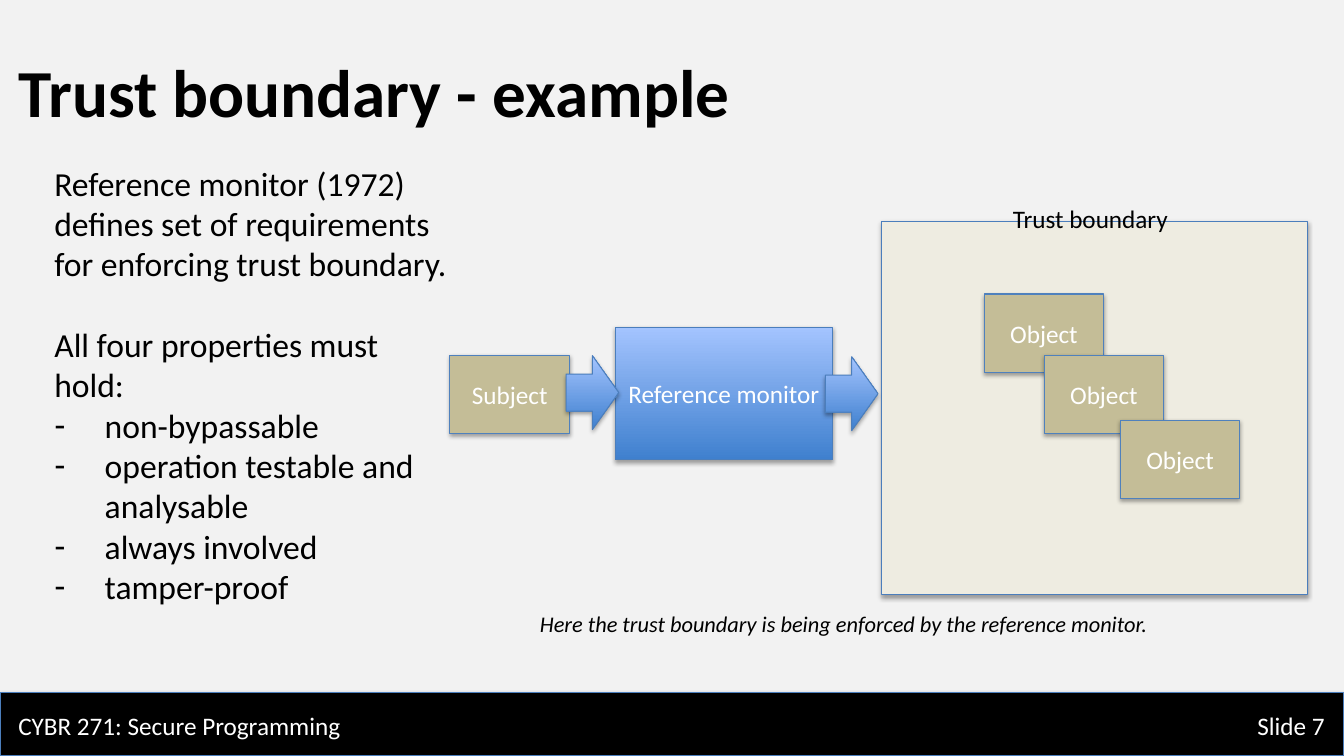
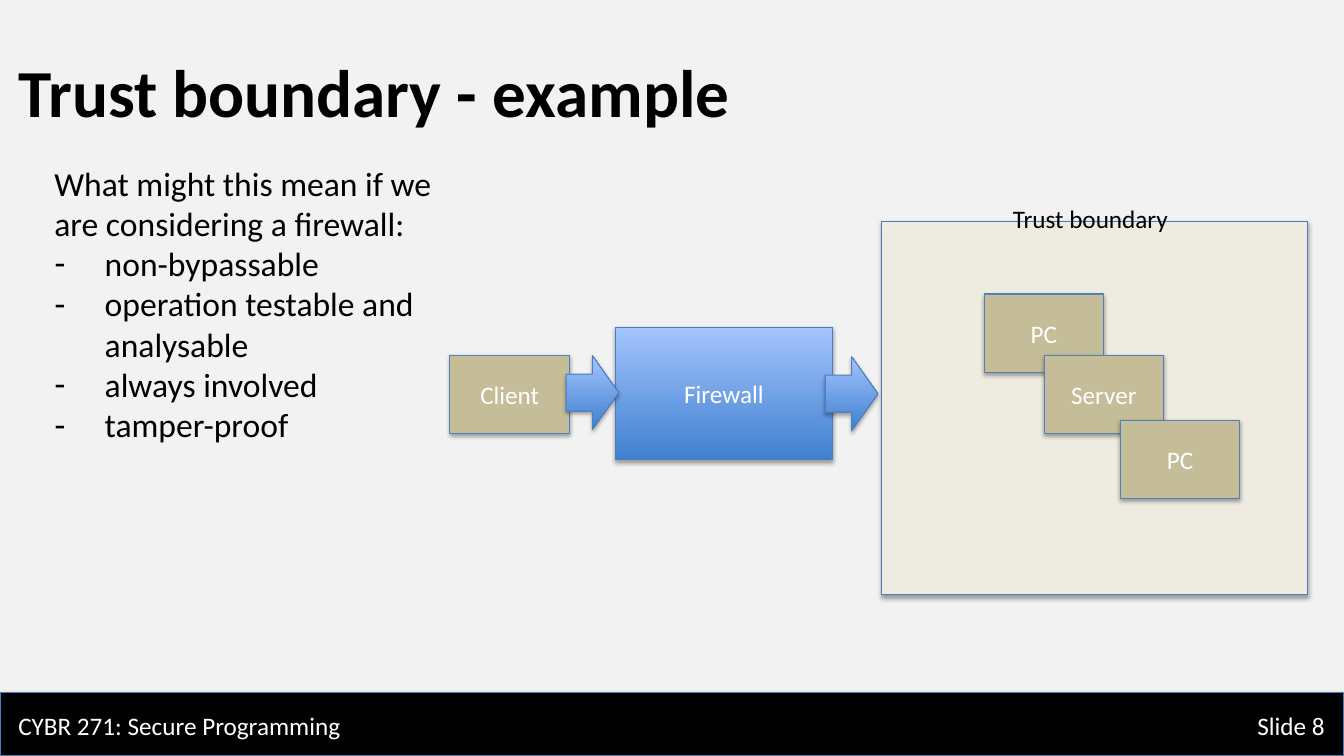
"""Build two slides on trust boundaries and how they are enforced."""
from dataclasses import dataclass

from lxml import etree
from pptx import Presentation
from pptx.dml.color import RGBColor
from pptx.enum.shapes import MSO_SHAPE
from pptx.enum.text import MSO_ANCHOR, MSO_AUTO_SIZE, PP_ALIGN
from pptx.oxml.ns import qn
from pptx.util import Pt

RECTANGLE, RIGHT_ARROW = MSO_SHAPE.RECTANGLE, MSO_SHAPE.RIGHT_ARROW
LEFT, CENTER = PP_ALIGN.LEFT, PP_ALIGN.CENTER
TOP, MIDDLE = MSO_ANCHOR.TOP, MSO_ANCHOR.MIDDLE
NO_AUTOFIT = MSO_AUTO_SIZE.NONE


@dataclass(frozen=True)
class Theme:
    font: str = "Calibri"
    background: str = "F2F2F2"
    ink: str = "000000"
    light: str = "FFFFFF"
    zone: str = "EEECE1"
    node: str = "C4BD97"
    outline: str = "4B7EBC"
    node_outline: str = "4F81BD"
    gradient: tuple = ("3F80CE", "A4C4FF")
    title_size: int = 48
    body_size: int = 24
    label_size: int = 18
    caption_size: int = 16


THEME = Theme()
SLIDE_WIDTH, SLIDE_HEIGHT = 960, 540
BAND_TOP = 495
NODE_SIZE = (85.4, 55.8)
ARROW_SIZE = (37.6, 52.8)
ARROW_CORNERS = [(404.4, 254), (589.6, 254.8)]
OBJECT_CORNERS = [(703, 210), (745.8, 253.8), (800.2, 300.2)]
BULLET_INDENT = 36
PARAGRAPH_GAP = 29
PROPERTIES = ["non-bypassable", "operation testable and analysable",
              "always involved", "tamper-proof"]

SLIDES = [
    {
        "number": 7,
        "intro": ["Reference monitor (1972) defines set of requirements "
                  "for enforcing trust boundary.",
                  "All four properties must hold:"],
        "source": "Subject",
        "guard": "Reference monitor",
        "objects": ["Object", "Object", "Object"],
        "caption": "Here the trust boundary is being enforced by the "
                   "reference monitor.",
    },
    {
        "number": 8,
        "intro": ["What might this mean if we are considering a firewall:"],
        "source": "Client",
        "guard": "Firewall",
        "objects": ["PC", "Server", "PC"],
        "caption": None,
    },
]


def write(paragraph, text, size, color, align=LEFT, bold=False, italic=False):
    paragraph.alignment = align
    run = paragraph.add_run()
    run.text = text
    run.font.name = THEME.font
    run.font.size = Pt(size)
    run.font.bold = bold
    run.font.italic = italic
    run.font.color.rgb = RGBColor.from_string(color)


def add_block(slide, box, fill=None, outline=THEME.outline, text=None, kind=RECTANGLE):
    block = slide.shapes.add_shape(kind, *map(Pt, box))
    if fill:
        block.fill.solid()
        block.fill.fore_color.rgb = RGBColor.from_string(fill)
    else:
        block.fill.gradient()
        block.fill.gradient_angle = 90
        for stop, color in zip(block.fill.gradient_stops, THEME.gradient):
            stop.color.rgb = RGBColor.from_string(color)
    block.line.color.rgb = RGBColor.from_string(outline)
    block.line.width = Pt(0.75)
    block.shadow.inherit = False
    effects = block.element.spPr.find(qn("a:effectLst"))
    shadow = etree.SubElement(effects, qn("a:outerShdw"), blurRad=str(Pt(3.1)),
                              dist=str(Pt(1.8)), dir="5400000", rotWithShape="0")
    shade = etree.SubElement(shadow, qn("a:srgbClr"), val=THEME.ink)
    etree.SubElement(shade, qn("a:alpha"), val="35000")
    if text:
        block.text_frame.vertical_anchor = MIDDLE
        write(block.text_frame.paragraphs[0], text, THEME.label_size, THEME.light, CENTER)


prs = Presentation()
prs.slide_width, prs.slide_height = Pt(SLIDE_WIDTH), Pt(SLIDE_HEIGHT)
master_fill = prs.slide_master.background.fill
master_fill.solid()
master_fill.fore_color.rgb = RGBColor.from_string(THEME.background)

for content in SLIDES:
    slide = prs.slides.add_slide(prs.slide_layouts[1])
    title, body = slide.placeholders

    for holder, box in ((title, (6, 32, 900, 65.5)), (body, (31.6, 112.4, 296, 375))):
        holder.left, holder.top, holder.width, holder.height = map(Pt, box)
        holder.text_frame.word_wrap = True
        holder.text_frame.auto_size = NO_AUTOFIT
        holder.text_frame.vertical_anchor = TOP
    write(title.text_frame.paragraphs[0], "Trust boundary - example",
          THEME.title_size, THEME.ink, bold=True)

    intro = content["intro"]
    for index, line in enumerate(intro + PROPERTIES):
        frame = body.text_frame
        paragraph = frame.add_paragraph() if index else frame.paragraphs[0]
        bulleted = index >= len(intro)
        paragraph.space_before = Pt(PARAGRAPH_GAP if 0 < index < len(intro) else 0)
        indent = Pt(BULLET_INDENT if bulleted else 0)
        properties = paragraph._p.get_or_add_pPr()
        properties.set("marL", str(indent))
        properties.set("indent", str(-indent))
        if bulleted:
            etree.SubElement(properties, qn("a:buChar"), char="-")
        else:
            etree.SubElement(properties, qn("a:buNone"))
        write(paragraph, line, THEME.body_size, THEME.ink)

    add_block(slide, (0, BAND_TOP, SLIDE_WIDTH, SLIDE_HEIGHT - BAND_TOP), THEME.ink)
    add_block(slide, (629.4, 158, 304.6, 267), THEME.zone)
    add_block(slide, (439.4, 233.8, 155.4, 94.8), text=content["guard"])
    add_block(slide, (321.4, 253.8, *NODE_SIZE), THEME.node, THEME.node_outline,
              content["source"])
    for corner, label in zip(OBJECT_CORNERS, content["objects"]):
        add_block(slide, (*corner, *NODE_SIZE), THEME.node, THEME.node_outline, label)
    for corner in ARROW_CORNERS:
        add_block(slide, (*corner, *ARROW_SIZE), kind=RIGHT_ARROW)

    labels = [
        ((6, 504, 363, 29), "CYBR 271: Secure Programming",
         THEME.label_size, THEME.light, False),
        ((891, 504, 63, 29), f"Slide {content['number']}",
         THEME.label_size, THEME.light, False),
        ((716.4, 142, 126.8, 29), "Trust boundary", THEME.label_size, THEME.ink, False),
    ]
    if content["caption"]:
        labels.append(((378.6, 432, 460, 26.6), content["caption"],
                       THEME.caption_size, THEME.ink, True))
    for box, text, size, color, italic in labels:
        label = slide.shapes.add_textbox(*map(Pt, box))
        label.text_frame.word_wrap = False
        write(label.text_frame.paragraphs[0], text, size, color, italic=italic)

prs.save("out.pptx")
